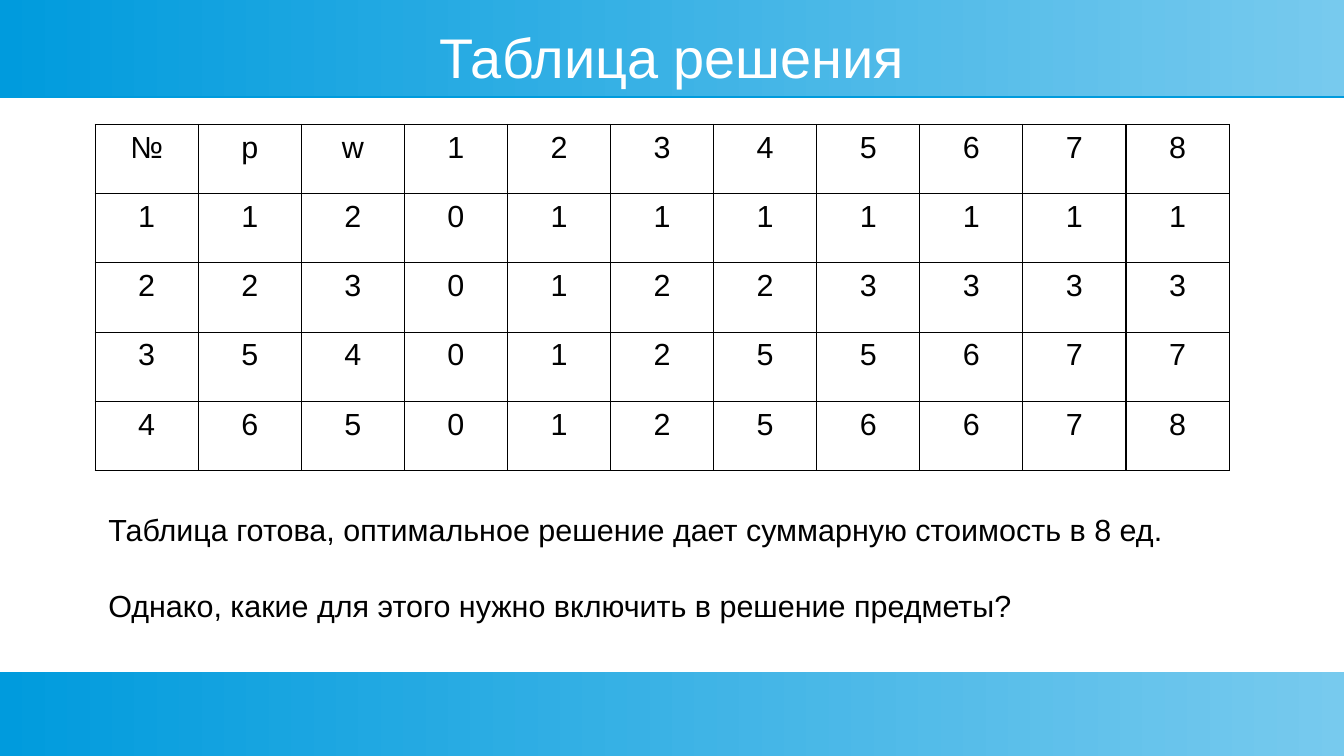
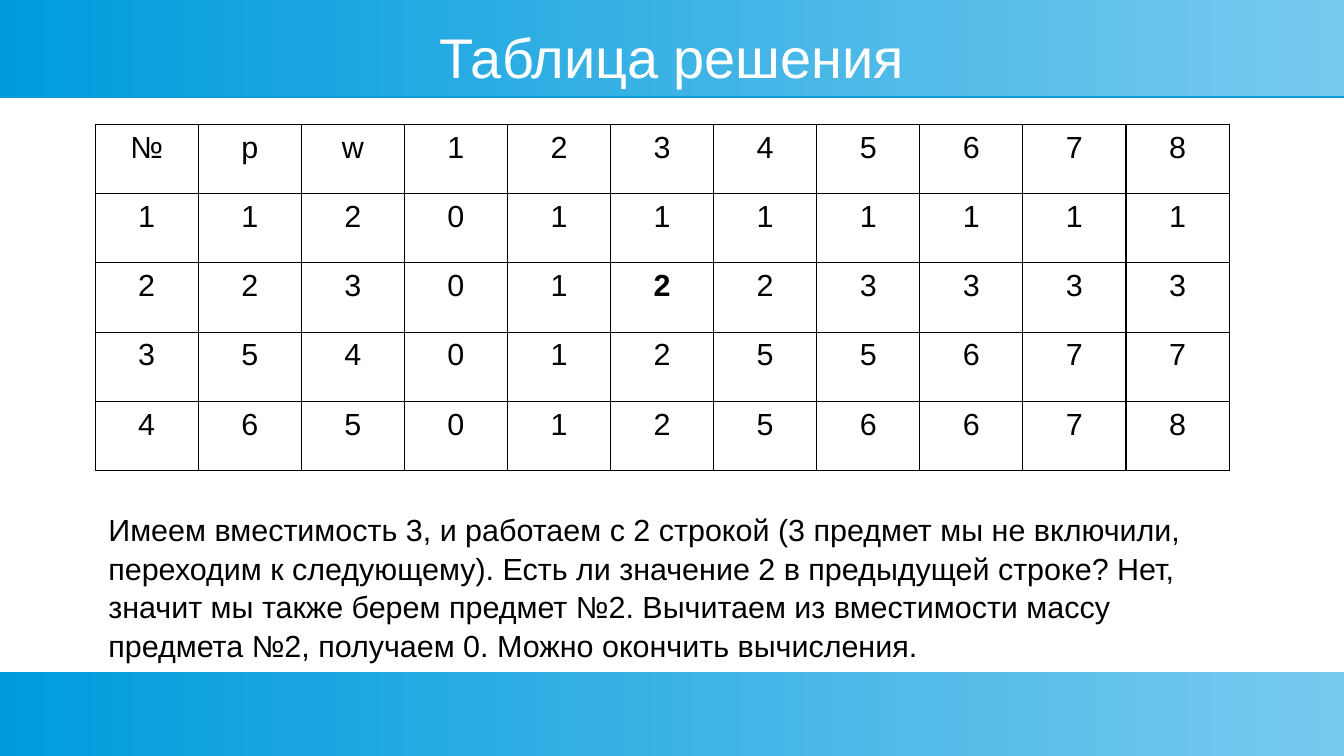
"""Builds two slides that walk through a knapsack solution table."""
from dataclasses import dataclass

import lxml.etree
import pptx
import pptx.dml.color
import pptx.enum.shapes
import pptx.enum.text
import pptx.oxml.ns
import pptx.util

Inches = pptx.util.Inches
Pt = pptx.util.Pt
RGBColor = pptx.dml.color.RGBColor
PP_ALIGN = pptx.enum.text.PP_ALIGN
MSO_ANCHOR = pptx.enum.text.MSO_ANCHOR
qn = pptx.oxml.ns.qn


@dataclass(frozen=True)
class Theme:
    font: str = "Arial"
    band_light: str = "77CAEE"
    band_dark: str = "009BDD"
    title_color: str = "FFFFFF"
    ink: str = "000000"
    title_size: float = 33
    body_size: float = 18
    line_spacing: float = 1.05
    paragraph_gap: float = 21.7
    border_width: float = 0.75
    shadow_offset: float = 0.9


class Deck:
    WIDTH, HEIGHT = 11.02, 6.2
    BANDS = ((0, 0.79), (5.51, 0.69))

    def __init__(self, theme):
        self.theme = theme
        self.presentation = pptx.Presentation()
        self.presentation.slide_width = Inches(self.WIDTH)
        self.presentation.slide_height = Inches(self.HEIGHT)
        self.slide = None

    def new_slide(self, heading):
        blank = self.presentation.slide_layouts[6]
        self.slide = self.presentation.slides.add_slide(blank)
        for top, height in self.BANDS:
            self.band(top, height)
        self.title(heading)

    def style(self, paragraph, size, color, bold=False):
        font = paragraph.font
        font.name, font.size, font.bold = self.theme.font, Pt(size), bold
        font.color.rgb = RGBColor.from_string(color)

    def band(self, top, height):
        band = self.slide.shapes.add_shape(
            pptx.enum.shapes.MSO_SHAPE.RECTANGLE,
            0, Inches(top), Inches(self.WIDTH), Inches(height))
        band.line.fill.background()
        band.fill.gradient()
        band.fill.gradient_angle = 180
        colors = (self.theme.band_light, self.theme.band_dark)
        for stop, position, color in zip(band.fill.gradient_stops, (0, 1), colors):
            stop.position = position
            stop.color.rgb = RGBColor.from_string(color)
        band.shadow.inherit = False
        effects = band.element.spPr.find(qn("a:effectLst"))
        shadow = lxml.etree.SubElement(
            effects, qn("a:outerShdw"), blurRad="0",
            dist=str(Pt(self.theme.shadow_offset)), dir="5400000",
            algn="ctr", rotWithShape="0")
        lxml.etree.SubElement(shadow, qn("a:srgbClr"), val=self.theme.band_dark)

    def text_frame(self, left, top, width, height):
        box = self.slide.shapes.add_textbox(
            Inches(left), Inches(top), Inches(width), Inches(height))
        box.text_frame.word_wrap = True
        return box.text_frame

    def title(self, heading):
        frame = self.text_frame(0.39, 0.2, 10.24, 0.52)
        frame.margin_left = frame.margin_right = 0
        frame.margin_top = frame.margin_bottom = 0
        frame.vertical_anchor = MSO_ANCHOR.MIDDLE
        frame.text = heading
        frame.paragraphs[0].alignment = PP_ALIGN.CENTER
        self.style(frame.paragraphs[0], self.theme.title_size, self.theme.title_color)

    def commentary(self, sentences, height):
        frame = self.text_frame(0.79, 4.13, 9.25, height)
        frame.text = "\n".join(sentences)
        for index, paragraph in enumerate(frame.paragraphs):
            paragraph.line_spacing = self.theme.line_spacing
            if index:
                paragraph.space_before = Pt(self.theme.paragraph_gap)
            self.style(paragraph, self.theme.body_size, self.theme.ink)

    def borders(self, cell):
        properties = cell._tc.get_or_add_tcPr()
        for side in ("lnL", "lnR", "lnT", "lnB"):
            line = lxml.etree.SubElement(
                properties, qn(f"a:{side}"), w=str(Pt(self.theme.border_width)))
            fill = lxml.etree.SubElement(line, qn("a:solidFill"))
            lxml.etree.SubElement(fill, qn("a:srgbClr"), val=self.theme.ink)

    def solution_table(self, rows, highlight=None):
        width, height = Inches(9.3), Inches(2.84)
        table = self.slide.shapes.add_table(
            len(rows), len(rows[0]), Inches(0.78), Inches(1.02), width, height).table
        table.first_row = table.horz_banding = False
        for column in table.columns:
            column.width = width // len(rows[0])
        for row in table.rows:
            row.height = height // len(rows)
        for row_index, values in enumerate(rows):
            for column_index, value in enumerate(values):
                cell = table.cell(row_index, column_index)
                cell.margin_left = cell.margin_right = Inches(0.04)
                cell.margin_top = cell.margin_bottom = Inches(0.05)
                self.borders(cell)
                cell.fill.background()
                cell.text = value
                paragraph = cell.text_frame.paragraphs[0]
                paragraph.alignment = PP_ALIGN.CENTER
                self.style(paragraph, self.theme.body_size, self.theme.ink,
                           bold=(row_index, column_index) == highlight)


SOLUTION = [line.split() for line in (
    "№ p w 1 2 3 4 5 6 7 8",
    "1 1 2 0 1 1 1 1 1 1 1",
    "2 2 3 0 1 2 2 3 3 3 3",
    "3 5 4 0 1 2 5 5 6 7 7",
    "4 6 5 0 1 2 5 6 6 7 8",
)]

STEPS = (
    (None, 0.94, (
        "Таблица готова, оптимальное решение дает суммарную стоимость в 8 ед.",
        "Однако, какие для этого нужно включить в решение предметы?")),
    ((2, 5), 1.22, (
        "Имеем вместимость 3, и работаем с 2 строкой (3 предмет мы не включили, "
        "переходим к следующему). Есть ли значение 2 в предыдущей строке? Нет, "
        "значит мы также берем предмет №2. Вычитаем из вместимости массу "
        "предмета №2, получаем 0. Можно окончить вычисления.",)),
)


def main():
    deck = Deck(Theme())
    for highlight, height, sentences in STEPS:
        deck.new_slide("Таблица решения")
        deck.solution_table(SOLUTION, highlight)
        deck.commentary(sentences, height)
    deck.presentation.save("out.pptx")


if __name__ == "__main__":
    main()
